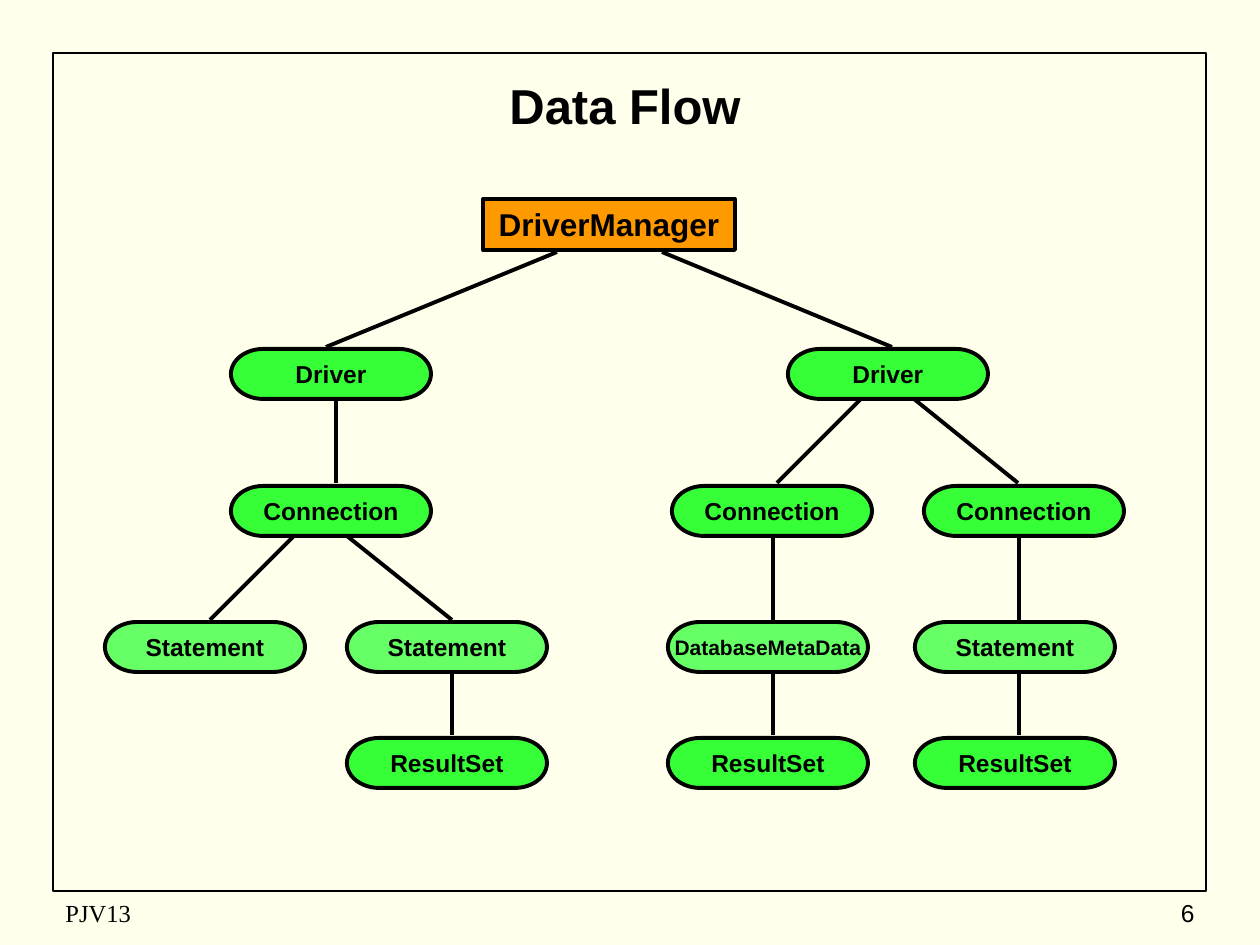
from lxml.etree import SubElement
from pptx import Presentation
from pptx.dml.color import RGBColor
from pptx.enum.shapes import MSO_CONNECTOR as Connector, MSO_SHAPE as Shape
from pptx.enum.text import MSO_ANCHOR as Anchor, MSO_AUTO_SIZE as AutoSize, PP_ALIGN as Align
from pptx.oxml.ns import qn
from pptx.util import Emu, Pt

EMU_PER_PX = 914400 / 126
COLORS = {
    "background": "FFFFEB",
    "ink": "000000",
    "manager": "FF9900",
    "node": "37FF37",
    "statement": "66FF66",
}
NODE_WIDTH, NODE_HEIGHT = 200, 50
NODE_ROWS = [
    (349, "node", [(231, "Driver"), (788, "Driver")]),
    (486, "node", [(231, "Connection"), (672, "Connection"), (924, "Connection")]),
    (622, "statement", [(105, "Statement"), (347, "Statement"),
                        (668, "DatabaseMetaData"), (915, "Statement")]),
    (738, "node", [(347, "ResultSet"), (668, "ResultSet"), (915, "ResultSet")]),
]
LINK_ROWS = [
    (252, 347, [(557, 326), (662, 892)]),
    (399, 483, [(336, 336), (861, 777), (914, 1018)]),
    (536, 620, [(294, 210), (347, 452), (773, 773), (1019, 1019)]),
    (672, 735, [(452, 452), (773, 773), (1019, 1019)]),
]


def px(*lengths):
    return [Emu(round(length * EMU_PER_PX)) for length in lengths]


def color(name):
    return RGBColor.from_string(COLORS[name])


def write_text(shape, text, size=14, font="Arial", bold=False, align=Align.CENTER,
               anchor=Anchor.MIDDLE, wrap=True):
    frame = shape.text_frame
    frame.auto_size = AutoSize.NONE
    frame.word_wrap = wrap
    frame.vertical_anchor = anchor
    paragraph = frame.paragraphs[0]
    paragraph.alignment = align
    run = paragraph.add_run()
    run.text = text
    run.font.size = Pt(size)
    run.font.name = font
    run.font.bold = bold
    run.font.color.rgb = color("ink")


def add_box(slide, kind, box, fill=None, line_width=2.25):
    shape = slide.shapes.add_shape(kind, *px(*box))
    shape.shadow.inherit = False
    if fill:
        shape.fill.solid()
        shape.fill.fore_color.rgb = color(fill)
    else:
        shape.fill.background()
    shape.line.color.rgb = color("ink")
    shape.line.width = Pt(line_width)
    return shape


def add_label(slide, box, text, **text_format):
    write_text(slide.shapes.add_textbox(*px(*box)), text, **text_format)


def add_node(slide, left, top, text, fill):
    box = left, top, NODE_WIDTH, NODE_HEIGHT
    node = add_box(slide, Shape.FLOWCHART_TERMINATOR, box, fill)
    size = 12 if text == "DatabaseMetaData" else 14
    write_text(node, text, size=size, bold=True, wrap=False)


def add_link(slide, start, end):
    link = slide.shapes.add_connector(Connector.STRAIGHT, *px(*start, *end))
    link.line.color.rgb = color("ink")
    link.line.width = Pt(2.25)
    SubElement(link._element.spPr, qn("a:effectLst"))


def main():
    presentation = Presentation()
    presentation.slide_width, presentation.slide_height = px(1260, 945)
    slide = presentation.slides.add_slide(presentation.slide_layouts[5])
    slide.background.fill.solid()
    slide.background.fill.fore_color.rgb = color("background")

    title = slide.shapes.title
    title.left, title.top, title.width, title.height = px(63, 63, 1124, 84)
    write_text(title, "Data Flow", size=28, bold=True)

    add_box(slide, Shape.RECTANGLE, (53, 53, 1153, 838), line_width=1)
    add_label(slide, (53, 892, 399, 42), "PJV13", font="Times New Roman", align=Align.LEFT)
    add_label(slide, (945, 892, 262, 42), "6", align=Align.RIGHT)

    manager = add_box(slide, Shape.RECTANGLE, (483, 199, 252, 51), "manager")
    write_text(manager, "DriverManager", size=18, bold=True, anchor=Anchor.TOP)
    for top, fill, nodes in NODE_ROWS:
        for left, text in nodes:
            add_node(slide, left, top, text, fill)
    for start_y, end_y, links in LINK_ROWS:
        for start_x, end_x in links:
            add_link(slide, (start_x, start_y), (end_x, end_y))

    presentation.save("out.pptx")


if __name__ == "__main__":
    main()
